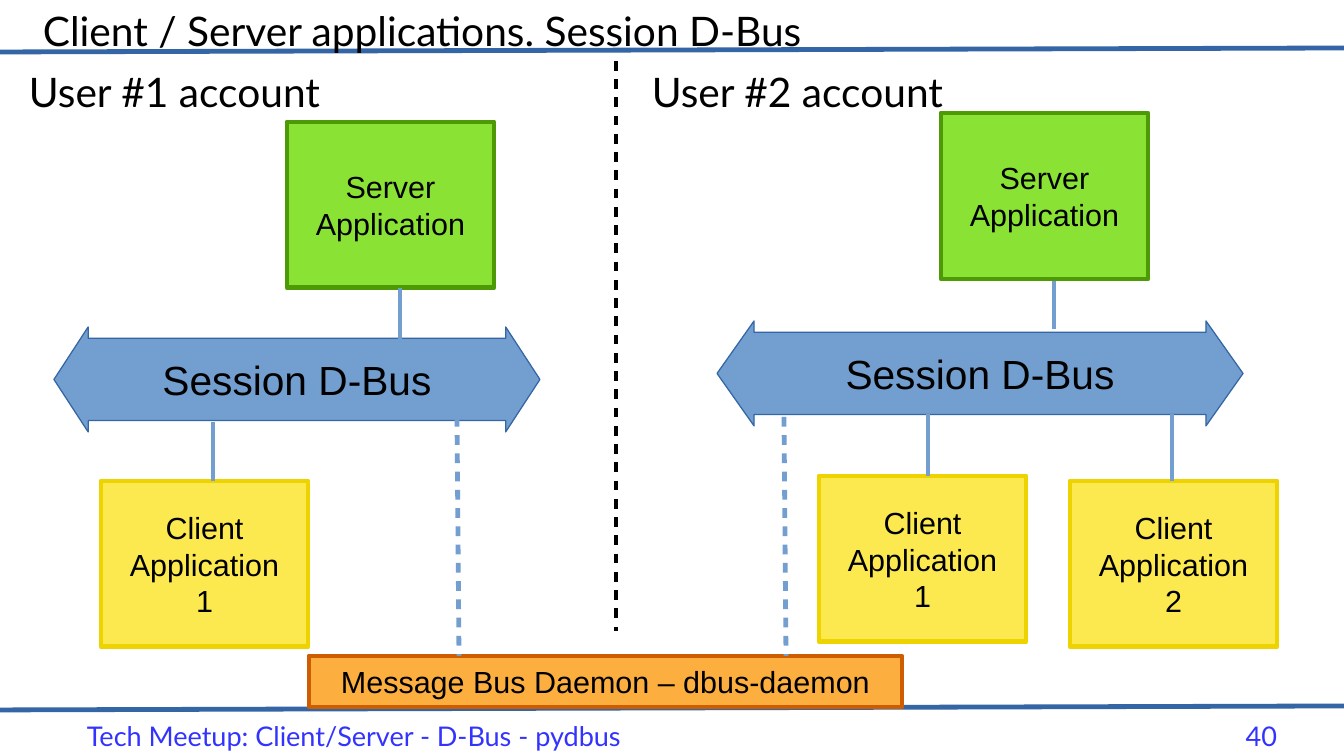
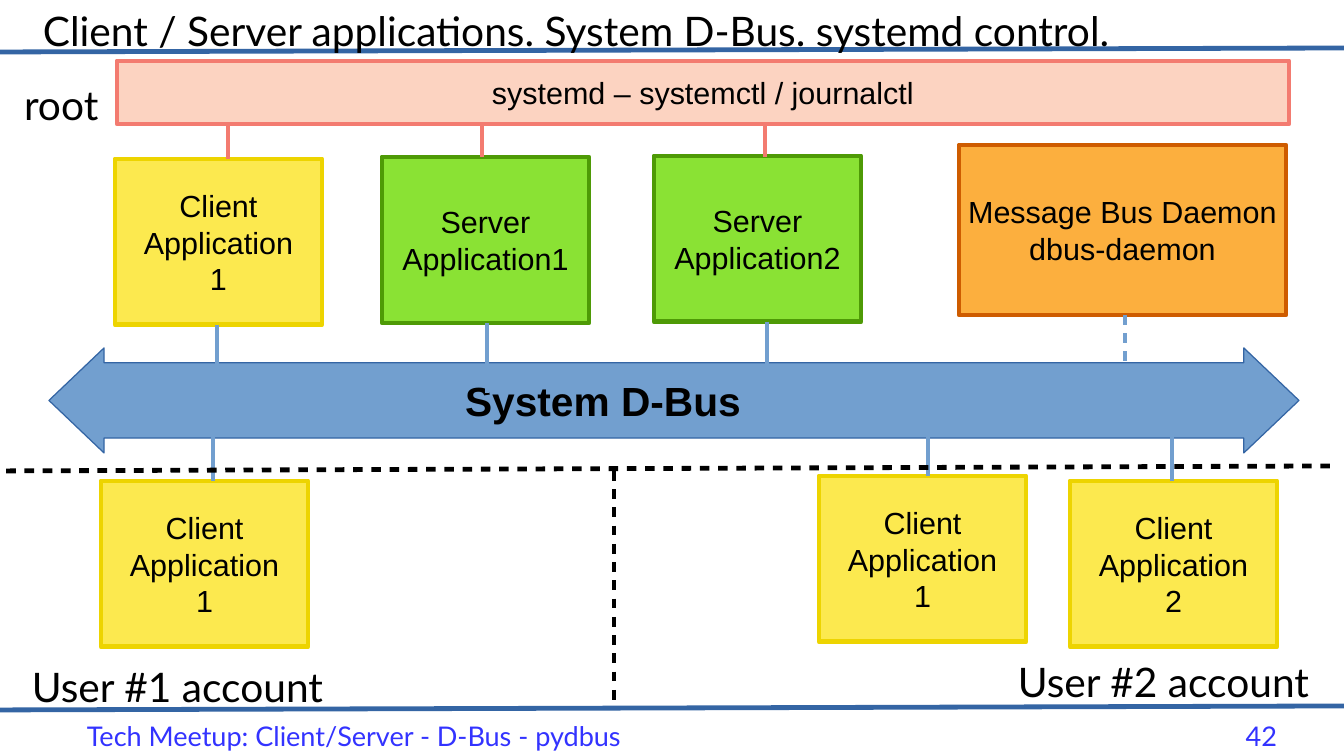
import pptx
import pptx.util
import pptx.dml.color
import pptx.enum.shapes
import pptx.enum.text
import pptx.oxml

RGBColor = pptx.dml.color.RGBColor
MSO_SHAPE = pptx.enum.shapes.MSO_SHAPE
PP_ALIGN = pptx.enum.text.PP_ALIGN
MSO_ANCHOR = pptx.enum.text.MSO_ANCHOR

PX = 7495
STROKE = pptx.util.Pt(2.83)
BLACK = RGBColor(0x00, 0x00, 0x00)
NAVY = RGBColor(0x34, 0x65, 0xA4)
BLUE = RGBColor(0x72, 0x9F, 0xCF)
FOOTER_BLUE = RGBColor(0x33, 0x33, 0xFF)
YELLOW = RGBColor(0xFC, 0xE9, 0x4F)
GOLD = RGBColor(0xED, 0xD4, 0x00)
GREEN = RGBColor(0x8A, 0xE2, 0x34)
DARK_GREEN = RGBColor(0x4E, 0x9A, 0x06)
ORANGE = RGBColor(0xFC, 0xAF, 0x3E)
RUST = RGBColor(0xCE, 0x5C, 0x00)
PINK = RGBColor(0xFC, 0xD3, 0xC1)
CORAL = RGBColor(0xF3, 0x7B, 0x70)

CLIENT = (YELLOW, GOLD)
SERVER = (GREEN, DARK_GREEN)
DAEMON = (ORANGE, RUST)
SYSTEMD = (PINK, CORAL)
BOX_W, BOX_H = 207, 166
BUS_H = 105
FOOTER = "Tech Meetup: Client/Server - D-Bus - pydbus"
NS = 'xmlns:a="http://schemas.openxmlformats.org/drawingml/2006/main"'
DASHES = f'<a:custDash {NS}><a:ds d="200000" sp="180000"/></a:custDash>'
NO_EFFECTS = f'<a:effectLst {NS}/>'

user_clients = [
    (CLIENT, "Client\nApplication\n1", 101, 481, BOX_W, BOX_H),
    (CLIENT, "Client\nApplication\n1", 819, 476, BOX_W, BOX_H),
    (CLIENT, "Client\nApplication\n2", 1070, 481, BOX_W, BOX_H),
]
user_links = [
    (BLUE, False, 213, 422, 213, 481),
    (BLUE, False, 928, 414, 928, 476),
    (BLUE, False, 1172, 414, 1172, 481),
]

pages = [
    {
        "title": "Client / Server applications. Session D-Bus",
        "number": "40",
        "buses": [
            ("Session D-Bus", 54, 327, 486, 0.784, 0.326, False, 12),
            ("Session D-Bus", 717, 321, 526, 0.784, 0.353, False, 12),
        ],
        "boxes": [
            (SERVER, "Server\nApplication", 287, 122, BOX_W, BOX_H),
            (SERVER, "Server\nApplication", 941, 113, BOX_W, BOX_H),
            (DAEMON, "Message Bus Daemon – dbus-daemon", 309, 656, 593, 51),
        ],
        "links": [
            (BLUE, False, 400, 288, 400, 353),
            (BLUE, False, 1054, 281, 1054, 329),
            (BLACK, True, 616, 61, 616, 631),
            (BLUE, True, 457, 417, 459, 656),
            (BLUE, True, 784, 417, 786, 656),
        ],
        "accounts": [
            ("User #1 account", 17, 61, 339),
            ("User #2 account", 640, 61, 339),
        ],
    },
    {
        "title": "Client / Server applications. System D-Bus. systemd control.",
        "number": "42",
        "buses": [("System D-Bus", 49, 348, 1250, 0.717, 0.525, True, 154)],
        "boxes": [
            (SERVER, "Server\nApplication1", 382, 157, BOX_W, BOX_H),
            (SERVER, "Server\nApplication2", 654, 156, BOX_W, BOX_H),
            (DAEMON, "Message Bus Daemon\ndbus-daemon", 959, 145, 327, 170),
            (SYSTEMD, "systemd – systemctl / journalctl", 117, 61, 1172, 63),
            (CLIENT, "Client\nApplication\n1", 115, 159, BOX_W, BOX_H),
        ],
        "links": [
            (BLUE, False, 487, 323, 487, 393),
            (BLUE, False, 767, 322, 767, 383),
            (BLUE, False, 217, 325, 217, 393),
            (BLUE, True, 1125, 315, 1125, 382),
            (CORAL, False, 482, 124, 482, 157),
            (CORAL, False, 765, 124, 765, 157),
            (CORAL, False, 228, 126, 228, 159),
            (BLACK, True, 614, 471, 614, 704),
            (BLACK, True, 1330, 466, 0, 471),
        ],
        "accounts": [
            ("User #1 account", 20, 656, 339),
            ("User #2 account", 1006, 651, 339),
            ("root", 12, 74, 106),
        ],
    },
]


def write(shape, text, font, size, color, align, insets, anchor=MSO_ANCHOR.TOP, wrap=True, bold=False):
    frame = shape.text_frame
    frame.text = text
    frame.word_wrap = wrap
    frame.auto_size = pptx.enum.text.MSO_AUTO_SIZE.NONE
    frame.vertical_anchor = anchor
    frame.margin_left, frame.margin_top, frame.margin_right, frame.margin_bottom = [n * PX for n in insets]
    for paragraph in frame.paragraphs:
        paragraph.alignment = align
        for run in paragraph.runs:
            run.font.name = font
            run.font.size = pptx.util.Pt(size)
            run.font.bold = bold
            run.font.color.rgb = color


def draw_line(slide, color, dashed, x1, y1, x2, y2):
    line = slide.shapes.add_connector(
        pptx.enum.shapes.MSO_CONNECTOR.STRAIGHT, x1 * PX, y1 * PX, x2 * PX, y2 * PX
    )
    line.line.color.rgb = color
    line.line.width = STROKE
    if dashed:
        line.line.fill._xPr.append(pptx.oxml.parse_xml(DASHES))
    line._element.spPr.append(pptx.oxml.parse_xml(NO_EFFECTS))
    return line


deck = pptx.Presentation()
deck.slide_width = 1344 * PX
deck.slide_height = 756 * PX
layout = deck.slide_layouts[5]
slides = [deck.slides.add_slide(layout) for page in pages]

for left_y, right_y in [(710, 706), (52, 48)]:
    band = draw_line(slides[0], NAVY, False, 0, left_y, 1344, right_y)
    layout.placeholders[0]._element.addprevious(band._element)

for slide, page in zip(slides, pages):
    title = slide.shapes.title
    title.left, title.top, title.width, title.height = [n * PX for n in (31, 0, 1221, 61)]
    write(title, page["title"], "Lato", 24, BLACK, PP_ALIGN.LEFT, (12, 6, 12, 6))

    for text, x, y, width, shaft, head, bold, right_inset in page["buses"]:
        bus = slide.shapes.add_shape(MSO_SHAPE.LEFT_RIGHT_ARROW, x * PX, y * PX, width * PX, BUS_H * PX)
        bus.adjustments[0] = shaft
        bus.adjustments[1] = head
        bus.shadow.inherit = False
        bus.fill.solid()
        bus.fill.fore_color.rgb = BLUE
        bus.line.color.rgb = NAVY
        bus.line.width = pptx.util.Pt(0)
        write(bus, text, "Arial", 24, BLACK, PP_ALIGN.CENTER, (12, 6, right_inset, 6), MSO_ANCHOR.MIDDLE, bold=bold)

    for (fill, outline), text, x, y, width, height in user_clients + page["boxes"]:
        box = slide.shapes.add_shape(MSO_SHAPE.RECTANGLE, x * PX, y * PX, width * PX, height * PX)
        box.shadow.inherit = False
        box.fill.solid()
        box.fill.fore_color.rgb = fill
        box.line.color.rgb = outline
        box.line.width = STROKE
        write(box, text, "Arial", 18, BLACK, PP_ALIGN.CENTER, (15, 9, 15, 9), MSO_ANCHOR.MIDDLE, wrap=False)

    for link in user_links + page["links"]:
        draw_line(slide, *link)

    for text, x, y, width in page["accounts"]:
        account = slide.shapes.add_textbox(x * PX, y * PX, width * PX, 61 * PX)
        write(account, text, "Lato", 24, BLACK, PP_ALIGN.LEFT, (12, 6, 12, 6))

    for text, x, width, align in [(FOOTER, 24, 660, PP_ALIGN.CENTER), (page["number"], 1148, 129, PP_ALIGN.RIGHT)]:
        footer = slide.shapes.add_textbox(x * PX, 719 * PX, width * PX, 34 * PX)
        write(footer, text, "Lato", 16, FOOTER_BLUE, align, (0, 0, 0, 0))

deck.save("out.pptx")
